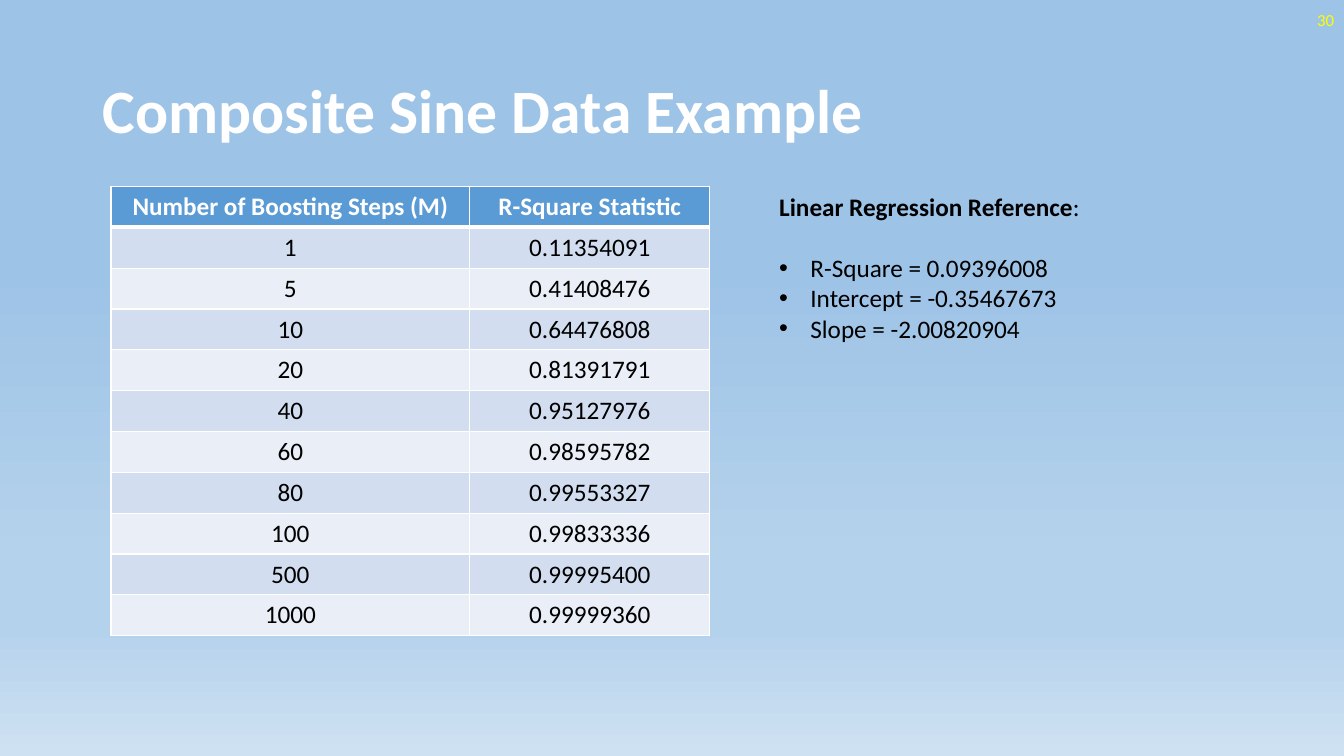
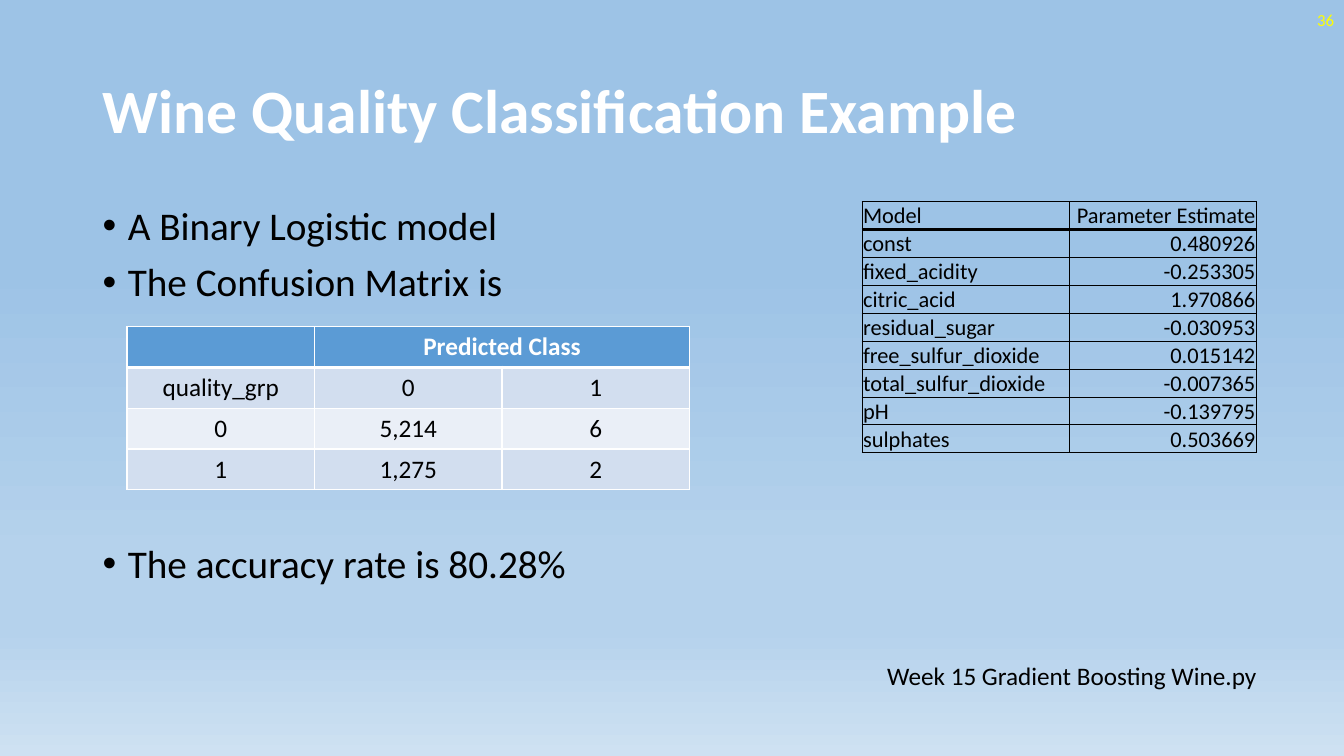
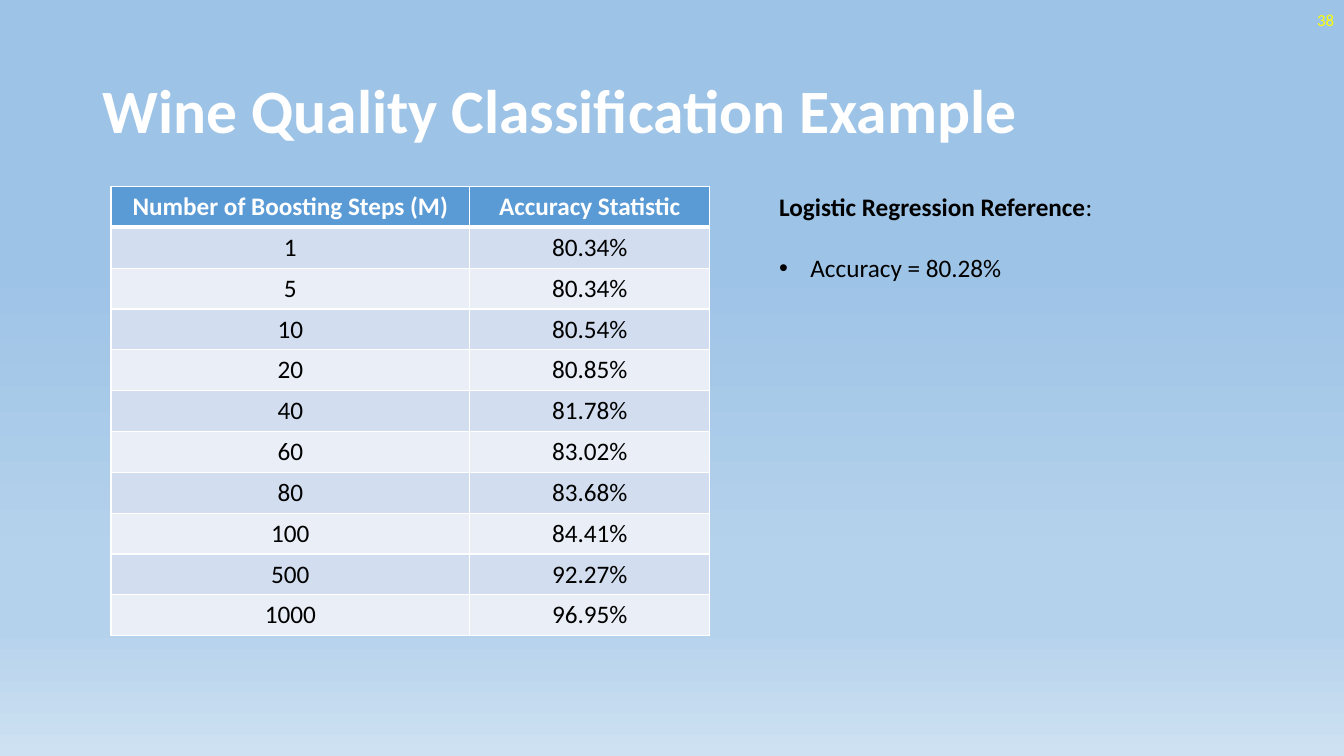
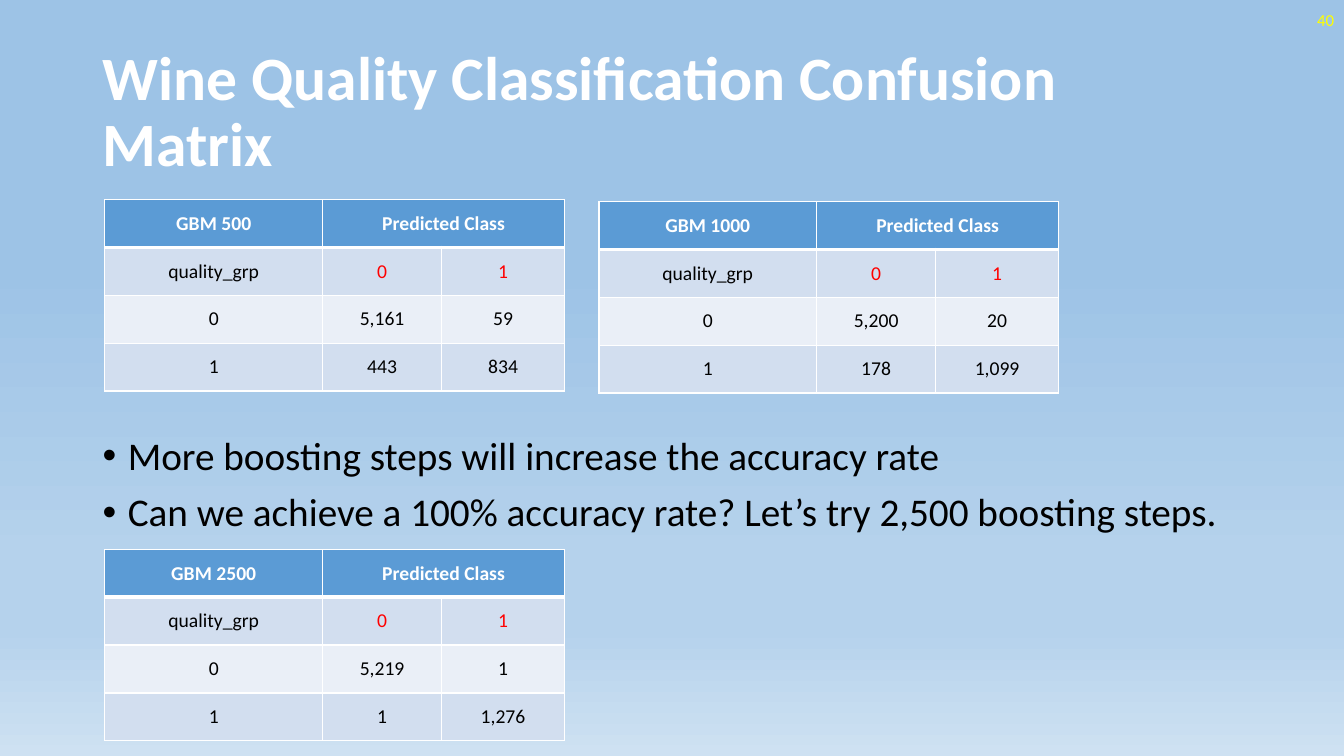
from dataclasses import dataclass, replace

from lxml import etree
from pptx import Presentation
from pptx.dml.color import RGBColor
from pptx.enum.text import MSO_ANCHOR, MSO_AUTO_SIZE, PP_ALIGN
from pptx.oxml import parse_xml
from pptx.oxml.ns import nsdecls, qn
from pptx.presentation import Presentation as Deck
from pptx.slide import Slide
from pptx.table import _Cell
from pptx.text.text import TextFrame, _Paragraph
from pptx.util import Inches, Pt

LEFT, CENTER, RIGHT = PP_ALIGN.LEFT, PP_ALIGN.CENTER, PP_ALIGN.RIGHT
TOP, MIDDLE, BOTTOM = MSO_ANCHOR.TOP, MSO_ANCHOR.MIDDLE, MSO_ANCHOR.BOTTOM
FIT_SHAPE = MSO_AUTO_SIZE.SHAPE_TO_FIT_TEXT

FONT = "Calibri"
WHITE, BLACK, RED, YELLOW = "FFFFFF", "000000", "FF0000", "FFFF00"
BLUE = "5B9BD5"
BANDS = ("D2DEEF", "EAEFF7")
SKY = ((35, "9DC3E6"), (74, "B5D2EC"), (83, "B5D2EC"), (100, "CEE1F2"))

BOOSTING_STEPS = (1, 5, 10, 20, 40, 60, 80, 100, 500, 1000)

Box = tuple[float, float, float, float]
Rows = list[tuple[str, ...]]


@dataclass(frozen=True)
class TableStyle:
    size: float
    edge: str
    edge_width: float
    head_rule: float
    head_color: str
    head_bold: bool
    head_fill: str | None
    bands: tuple[str | None, ...]
    aligns: tuple[PP_ALIGN, ...]
    anchor: MSO_ANCHOR
    margins: Box
    class_color: str = BLACK


BANDED = TableStyle(18, WHITE, 1, 3, WHITE, True, BLUE, BANDS, (CENTER,) * 3,
                    MIDDLE, (0.1, 0.05, 0.1, 0.05))
SMALL_BANDED = replace(BANDED, size=14, class_color=RED)
GRID = TableStyle(16, BLACK, 0.5, 2, BLACK, False, None, (None,), (LEFT, RIGHT),
                  BOTTOM, (0.01, 0.01, 0.01, 0))


def rgb(color: str) -> RGBColor:
    return RGBColor.from_string(color)


def paint_background(deck: Deck) -> None:
    """Give the master, and so every slide, the sky gradient."""
    fill = deck.slide_master.background.fill
    fill.gradient()
    fill.gradient_angle = 270
    stops = deck.slide_master.element.find(".//" + qn("a:gsLst"))
    for stop in list(stops):
        stops.remove(stop)
    for percent, color in SKY:
        stops.append(parse_xml(
            f'<a:gs {nsdecls("a")} pos="{percent * 1000}">'
            f'<a:srgbClr val="{color}"/></a:gs>'))


def add_run(paragraph: _Paragraph, text: str, size: float, color: str = BLACK,
            bold: bool = False) -> None:
    run = paragraph.add_run()
    run.text = text
    run.font.name = FONT
    run.font.size = Pt(size)
    run.font.bold = bold
    run.font.color.rgb = rgb(color)


def add_bullet(paragraph: _Paragraph, hang: float) -> None:
    properties = paragraph._p.get_or_add_pPr()
    properties.set("marL", str(Inches(hang)))
    properties.set("indent", str(-Inches(hang)))
    etree.SubElement(properties, qn("a:buFont"), typeface="Arial")
    etree.SubElement(properties, qn("a:buChar"), char="•")


def add_frame(slide: Slide, box: Box, anchor: MSO_ANCHOR = TOP,
              wrap: bool = True) -> TextFrame:
    frame = slide.shapes.add_textbox(*map(Inches, box)).text_frame
    frame.word_wrap = wrap
    frame.vertical_anchor = anchor
    if not wrap:
        frame.auto_size = FIT_SHAPE
    return frame


def start_slide(deck: Deck, title: str, number: int) -> Slide:
    slide = deck.slides.add_slide(deck.slide_layouts[6])
    heading = add_frame(slide, (0.92, 0.4, 11.5, 1.45), MIDDLE).paragraphs[0]
    heading.line_spacing = 0.9
    add_run(heading, title, 44, WHITE, True)
    page = add_frame(slide, (10.33, 0, 3, 0.4), MIDDLE).paragraphs[0]
    page.alignment = RIGHT
    add_run(page, str(number), 12, YELLOW)
    return slide


def add_body(slide: Slide, top: float, height: float,
             points: list[tuple[str, float]]) -> None:
    """Write large bullets, each given with the space before it in points."""
    frame = add_frame(slide, (0.92, top, 11.5, height))
    for i, (text, space) in enumerate(points):
        paragraph = frame.add_paragraph() if i else frame.paragraphs[0]
        paragraph.line_spacing = 0.9
        paragraph.space_before = Pt(space)
        add_bullet(paragraph, 0.25)
        add_run(paragraph, text, 28)


def add_reference(slide: Slide, width: float, height: float, model: str,
                  facts: list[str]) -> None:
    frame = add_frame(slide, (7.63, 1.85, width, height), wrap=False)
    heading = frame.paragraphs[0]
    heading.space_after = Pt(22)
    add_run(heading, f"{model} Regression Reference", 18, bold=True)
    add_run(heading, ":", 18)
    for fact in facts:
        paragraph = frame.add_paragraph()
        add_bullet(paragraph, 0.31)
        add_run(paragraph, fact, 18)


def set_borders(cell: _Cell, style: TableStyle, row: int) -> None:
    widths = dict.fromkeys(("lnL", "lnR", "lnT", "lnB"), style.edge_width)
    if row == 0:
        widths["lnB"] = style.head_rule
    elif row == 1:
        widths["lnT"] = style.head_rule
    properties = cell._tc.get_or_add_tcPr()
    for side, width in widths.items():
        properties.append(parse_xml(
            f'<a:{side} {nsdecls("a")} w="{Pt(width)}"><a:solidFill>'
            f'<a:srgbClr val="{style.edge}"/></a:solidFill></a:{side}>'))


def fill_cell(cell: _Cell, text: str, style: TableStyle, row: int, column: int) -> None:
    set_borders(cell, style, row)
    is_head = row == 0
    fill = style.head_fill if is_head else style.bands[(row - 1) % len(style.bands)]
    if fill:
        cell.fill.solid()
        cell.fill.fore_color.rgb = rgb(fill)
    else:
        cell.fill.background()
    (cell.margin_left, cell.margin_top,
     cell.margin_right, cell.margin_bottom) = map(Inches, style.margins)
    cell.vertical_anchor = style.anchor
    if text:
        color = style.head_color if is_head else BLACK
        if row == 1 and column:
            color = style.class_color if style.class_color != BLACK else color
        paragraph = cell.text_frame.paragraphs[0]
        paragraph.alignment = style.aligns[column]
        add_run(paragraph, text, style.size, color, is_head and style.head_bold)


def add_grid(slide: Slide, left: float, top: float, height: float,
             widths: tuple[float, ...], rows: Rows, style: TableStyle) -> None:
    """Draw a table; a head row shorter than the others ends in a merged cell."""
    table = slide.shapes.add_table(
        len(rows), len(widths), Inches(left), Inches(top),
        Inches(sum(widths)), Inches(height)).table
    table.first_row = table.horz_banding = False
    for column, width in zip(table.columns, widths):
        column.width = Inches(width)
    for r, texts in enumerate(rows):
        table.rows[r].height = Inches(height / len(rows))
        for c in range(len(widths)):
            text = texts[c] if c < len(texts) else ""
            fill_cell(table.cell(r, c), text, style, r, c)
        if len(texts) < len(widths):
            table.cell(r, len(texts) - 1).merge(table.cell(r, len(widths) - 1))


def add_steps_table(slide: Slide, statistic: str, values: list[str]) -> None:
    rows = [("Number of Boosting Steps (M)", f"{statistic} Statistic")]
    rows += [(str(step), value) for step, value in zip(BOOSTING_STEPS, values)]
    add_grid(slide, 1.1, 1.85, 4.46, (3.56, 2.38), rows, BANDED)


def confusion_rows(corner: str, low: tuple[str, str], high: tuple[str, str]) -> Rows:
    return [(corner, "Predicted Class"), ("quality_grp", "0", "1"),
            ("0", *low), ("1", *high)]


def build_sine_slide(deck: Deck) -> None:
    slide = start_slide(deck, "Composite Sine Data Example", 30)
    add_steps_table(slide, "R-Square", [
        "0.11354091", "0.41408476", "0.64476808", "0.81391791", "0.95127976",
        "0.98595782", "0.99553327", "0.99833336", "0.99995400", "0.99999360"])
    add_reference(slide, 3.2, 1.62, "Linear", [
        "R-Square = 0.09396008", "Intercept = -0.35467673", "Slope = -2.00820904"])


def build_logistic_slide(deck: Deck) -> None:
    slide = start_slide(deck, "Wine Quality Classification Example", 36)
    add_body(slide, 2, 4.76, [
        ("A Binary Logistic model", 10),
        ("The Confusion Matrix is", 10),
        ("The accuracy rate is 80.28%", 171)])
    script_name = add_frame(slide, (8.7, 6.5, 3.91, 0.4), wrap=False).paragraphs[0]
    add_run(script_name, "Week 15 Gradient Boosting Wine.py", 18)
    add_grid(slide, 8.55, 2, 2.49, (2.06, 1.85), [
        ("Model", "Parameter Estimate"),
        ("const", "0.480926"),
        ("fixed_acidity", "-0.253305"),
        ("citric_acid", "1.970866"),
        ("residual_sugar", "-0.030953"),
        ("free_sulfur_dioxide", "0.015142"),
        ("total_sulfur_dioxide", "-0.007365"),
        ("pH", "-0.139795"),
        ("sulphates", "0.503669")], GRID)
    add_grid(slide, 1.26, 3.24, 1.62, (1.86,) * 3,
             confusion_rows("", ("5,214", "6"), ("1,275", "2")), BANDED)


def build_accuracy_slide(deck: Deck) -> None:
    slide = start_slide(deck, "Wine Quality Classification Example", 38)
    add_steps_table(slide, "Accuracy", [
        "80.34%", "80.34%", "80.54%", "80.85%", "81.78%",
        "83.02%", "83.68%", "84.41%", "92.27%", "96.95%"])
    add_reference(slide, 3.33, 1.01, "Logistic", ["Accuracy = 80.28%"])


def build_confusion_slide(deck: Deck) -> None:
    slide = start_slide(deck, "Wine Quality Classification Confusion Matrix", 40)
    add_body(slide, 4.28, 2.48, [
        ("More boosting steps will increase the accuracy rate", 10),
        ("Can we achieve a 100% accuracy rate? Let’s try 2,500 boosting steps.", 10)])
    for left, top, steps, low, high in (
            (1.04, 1.98, 500, ("5,161", "59"), ("443", "834")),
            (5.94, 2, 1000, ("5,200", "20"), ("178", "1,099")),
            (1.04, 5.45, 2500, ("5,219", "1"), ("1", "1,276"))):
        add_grid(slide, left, top, 1.9, (2.16, 1.18, 1.22),
                 confusion_rows(f"GBM {steps}", low, high), SMALL_BANDED)


def main() -> None:
    deck = Presentation()
    deck.slide_width, deck.slide_height = Inches(13.33), Inches(7.5)
    paint_background(deck)
    build_sine_slide(deck)
    build_logistic_slide(deck)
    build_accuracy_slide(deck)
    build_confusion_slide(deck)
    deck.save("out.pptx")


if __name__ == "__main__":
    main()
